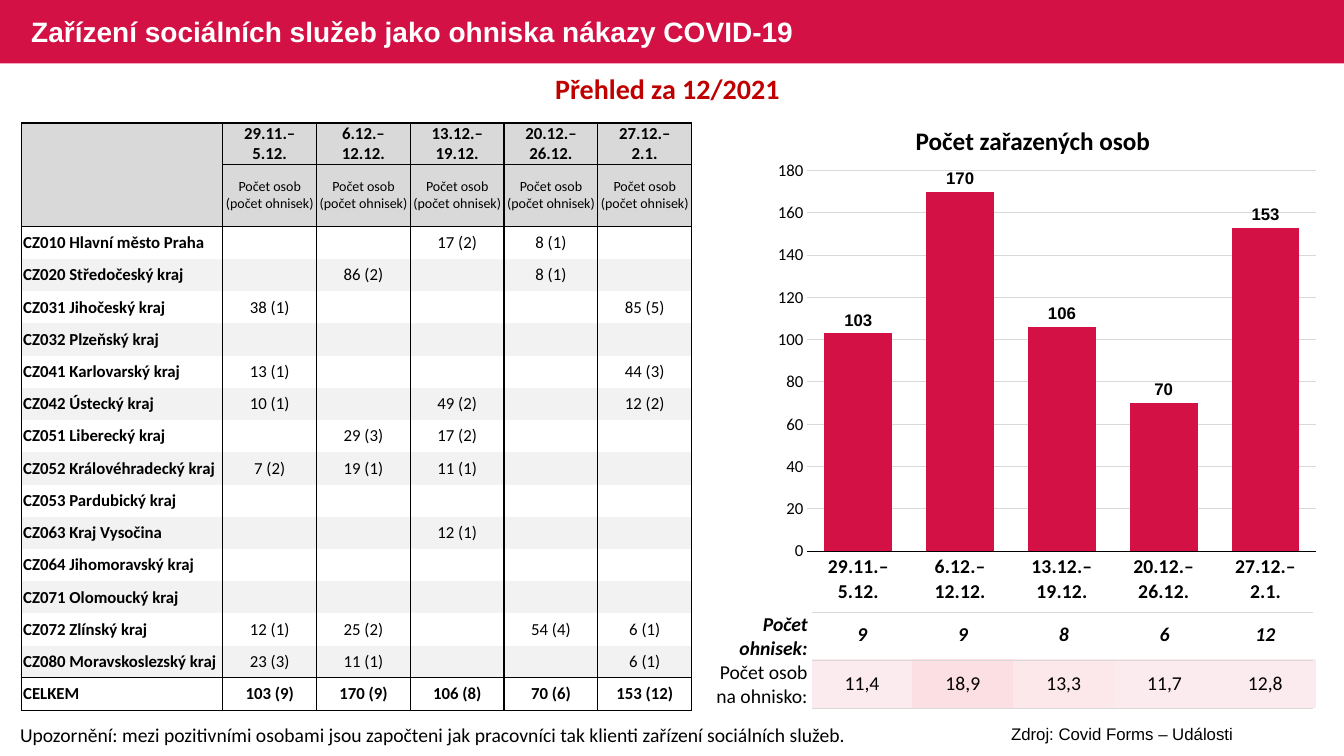
from lxml import etree
from pptx import Presentation
from pptx import util as u
from pptx.chart.data import CategoryChartData
from pptx.dml.color import RGBColor
from pptx.enum import chart as ch, shapes, text
from pptx.oxml import parse_xml
from pptx.oxml.ns import nsdecls

CRIMSON, BLACK, WHITE, SILVER = "D31145", "000000", "FFFFFF", "D9D9D9"
LEFT, CENTER, RIGHT = text.PP_ALIGN.LEFT, text.PP_ALIGN.CENTER, text.PP_ALIGN.RIGHT

TITLE = "Zařízení sociálních služeb jako ohniska nákazy COVID-19"
WEEKS = ["29.11.–\n5.12.", "6.12.–\n12.12.", "13.12.–\n19.12.", "20.12.–\n26.12.", "27.12.–\n2.1."]
UNIT = "Počet osob (počet ohnisek)"
REGIONS = [
    ("CZ010 Hlavní město Praha", "", "", "17 (2)", "8 (1)", ""),
    ("CZ020 Středočeský kraj", "", "86 (2)", "", "8 (1)", ""),
    ("CZ031 Jihočeský kraj", "38 (1)", "", "", "", "85 (5)"),
    ("CZ032 Plzeňský kraj", "", "", "", "", ""),
    ("CZ041 Karlovarský kraj", "13 (1)", "", "", "", "44 (3)"),
    ("CZ042 Ústecký kraj", "10 (1)", "", "49 (2)", "", "12 (2)"),
    ("CZ051 Liberecký kraj", "", "29 (3)", "17 (2)", "", ""),
    ("CZ052 Královéhradecký kraj", "7 (2)", "19 (1)", "11 (1)", "", ""),
    ("CZ053 Pardubický kraj", "", "", "", "", ""),
    ("CZ063 Kraj Vysočina", "", "", "12 (1)", "", ""),
    ("CZ064 Jihomoravský kraj", "", "", "", "", ""),
    ("CZ071 Olomoucký kraj", "", "", "", "", ""),
    ("CZ072 Zlínský kraj", "12 (1)", "25 (2)", "", "54 (4)", "6 (1)"),
    ("CZ080 Moravskoslezský kraj", "23 (3)", "11 (1)", "", "", "6 (1)"),
]
TOTAL = ("CELKEM", "103 (9)", "170 (9)", "106 (8)", "70 (6)", "153 (12)")
PERSONS = [103, 170, 106, 70, 153]
OUTBREAKS = ["9", "9", "8", "6", "12"]
RATIOS = ["11,4", "18,9", "13,3", "11,7", "12,8"]
RATIO_FILLS = ["FCEBEE", "FCDFE2", "FCE8EB", "FCEBEE", "FCEBEE"]
RATIO_LABELS = ["Počet ohnisek:", "Počet osob na ohnisko:"]
CAPTIONS = [
    ("Upozornění: mezi pozitivními osobami jsou započteni jak pracovníci tak klienti zařízení sociálních služeb.",
     (0.1, 7.12, 8.52, 0.34), 14, "Calibri", BLACK, False, LEFT),
    ("Zdroj: Covid Forms – Události", (9.03, 7.13, 4.2, 0.3), 12, "Arial", BLACK, False, CENTER),
    ("Přehled za 12/2021", (0.21, 0.66, 12.82, 0.44), 20, "Calibri", "C00000", True, CENTER),
    ("Počet zařazených osob", (7.56, 1.19, 5.37, 0.4), 18, "Calibri", BLACK, True, CENTER),
]


def rgb(value):
    return RGBColor.from_string(value)


def inches(values):
    return [u.Inches(value) for value in values]


def style(font, size, name="Calibri", color=BLACK, bold=False, italic=False):
    font.size, font.name, font.bold, font.italic = u.Pt(size), name, bold, italic
    font.color.rgb = rgb(color)


def add_grid(page, place, widths, heights):
    table = page.shapes.add_table(len(heights), len(widths), *inches(place)).table
    table.first_row = table.horz_banding = False
    for column, width in zip(table.columns, widths):
        column.width = u.Inches(width)
    for row, height in zip(table.rows, heights):
        row.height = u.Inches(height)
    return table


def draw_cell(cell, words="", size=12, align=CENTER, bold=False, italic=False, fill=None,
              edges=(0, 0, 0, 0), edge_color=BLACK, margins=(0.01, 0.01)):
    cell.margin_left, cell.margin_right = inches(margins)
    cell.margin_top = cell.margin_bottom = 0
    cell.vertical_anchor = text.MSO_ANCHOR.MIDDLE
    cell.text = words
    for para in cell.text_frame.paragraphs:
        para.alignment = align
        style(para.font, size, bold=bold, italic=italic)
    for side, weight in zip("LRTB", edges):
        paint = f'<a:solidFill><a:srgbClr val="{edge_color}"/></a:solidFill>' if weight else "<a:noFill/>"
        cell._tc.get_or_add_tcPr().append(parse_xml(
            f'<a:ln{side} {nsdecls("a")} w="{int(u.Pt(weight))}">{paint}</a:ln{side}>'))
    if fill:
        cell.fill.solid()
        cell.fill.fore_color.rgb = rgb(fill)
    else:
        cell.fill.background()


def add_regions(page):
    rows = [("", *WEEKS), ("", *[UNIT] * len(WEEKS)), *REGIONS, TOTAL]
    last = len(rows) - 1
    rules = {0: 1, 1: 1, 2: 0.5, last: 1, last + 1: 1}
    table = add_grid(page, (0.21, 1.22, 6.65, 5.8), [2] + [0.93] * len(WEEKS),
                     [0.41, 0.62] + [0.32] * (last - 1))
    for r, row in enumerate(rows):
        fill = SILVER if r < 2 else "F2F2F2" if r % 2 and r < last else None
        for c, words in enumerate(row):
            top, bottom = [0 if (c, line) == (0, 1) else rules.get(line, 0) for line in (r, r + 1)]
            draw_cell(table.cell(r, c), words, 10 if r == 1 else 12, CENTER if c else LEFT,
                      bold=r in (0, last) or c == 0, fill=fill, edges=(1, 1, top, bottom),
                      margins=(0.01, 0.01) if c else (0.02, 0.02))
    table.cell(0, 0).merge(table.cell(1, 0))


def add_ratios(page):
    values = add_grid(page, (8.05, 6.06, 4.98, 0.96), [1] * len(WEEKS), [0.48] * 2)
    for c, (count, ratio, fill) in enumerate(zip(OUTBREAKS, RATIOS, RATIO_FILLS)):
        draw_cell(values.cell(0, c), count, 14, bold=True, italic=True)
        draw_cell(values.cell(1, c), ratio, 14, fill=fill)
    labels = add_grid(page, (7.04, 6.08, 5.99, 0.93), [1.01] + [0.71] * 7, [0.47] * 2)
    for r, label in enumerate(RATIO_LABELS):
        draw_cell(labels.cell(r, 0), label, 14, RIGHT, bold=r == 0, italic=r == 0, margins=(0.01, 0.04))
        for c in range(1, 8):
            draw_cell(labels.cell(r, c), edges=(0, 0, 1, 1), edge_color=SILVER)


def add_persons_chart(page):
    data = CategoryChartData()
    data.categories = WEEKS
    data.add_series("Počet zařazených osob", PERSONS)
    chart = page.shapes.add_chart(ch.XL_CHART_TYPE.COLUMN_CLUSTERED,
                                  *inches((7.56, 1.51, 5.61, 4.55)), data).chart
    chart.has_title = chart.has_legend = False
    style(chart.font, 14, "Arial", bold=True)
    plot = chart.plots[0]
    plot.gap_width, plot.vary_by_categories = 50, False
    fill = plot.series[0].format.fill
    fill.solid()
    fill.fore_color.rgb = rgb(CRIMSON)
    plot.has_data_labels = True
    labels = plot.data_labels
    labels.show_value, labels.position = True, ch.XL_LABEL_POSITION.OUTSIDE_END
    style(labels.font, 12, "Arial", bold=True)
    weeks, scale = chart.category_axis, chart.value_axis
    weeks.major_tick_mark = scale.major_tick_mark = ch.XL_TICK_MARK.NONE
    style(weeks.tick_labels.font, 14, bold=True)
    style(scale.tick_labels.font, 12)
    scale.minimum_scale, scale.maximum_scale, scale.major_unit = 0, 180, 20
    scale.format.line.fill.background()
    for line, color in ((weeks.format.line, BLACK), (scale.major_gridlines.format.line, SILVER)):
        line.color.rgb = rgb(color)
        line.width = u.Pt(0.75)
    area = chart._chartSpace.chart.plotArea
    for old in area.findall("{*}layout"):
        area.remove(old)
    layout = parse_xml(f'<c:layout {nsdecls("c")}><c:manualLayout/></c:layout>')
    settings = [("layoutTarget", "inner"), ("xMode", "edge"), ("yMode", "edge"),
                ("x", "0.08"), ("y", "0.04"), ("w", "0.9"), ("h", "0.83")]
    for name, value in settings:
        etree.SubElement(layout[0], "{%s}%s" % (etree.QName(layout).namespace, name)).set("val", value)
    area.insert(0, layout)


def add_heading(deck, page):
    banner = page.shapes.add_shape(shapes.MSO_SHAPE.RECTANGLE, 0, 0, deck.slide_width, u.Inches(0.63))
    banner.shadow.inherit = False
    banner.fill.solid()
    banner.fill.fore_color.rgb = rgb(CRIMSON)
    banner.line.fill.background()
    page.shapes._spTree.insert(2, banner._element)
    title = page.shapes.title
    title.left, title.top, title.width, title.height = inches((0.21, 0.02, 8.13, 0.63))
    frame = title.text_frame
    frame.text = TITLE
    frame.auto_size = text.MSO_AUTO_SIZE.NONE
    frame.vertical_anchor = text.MSO_ANCHOR.MIDDLE
    para = frame.paragraphs[0]
    para.alignment, para.line_spacing = LEFT, 0.9
    style(para.font, 20, "Arial", WHITE, True)


def add_caption(page, words, place, size, name, color, bold, align):
    frame = page.shapes.add_textbox(*inches(place)).text_frame
    frame.word_wrap = True
    frame.text = words
    para = frame.paragraphs[0]
    para.alignment = align
    style(para.font, size, name, color, bold)


def main():
    deck = Presentation()
    deck.slide_width, deck.slide_height = inches((13.33, 7.5))
    page = deck.slides.add_slide(deck.slide_layouts[5])
    add_heading(deck, page)
    add_regions(page)
    add_persons_chart(page)
    add_ratios(page)
    for caption in CAPTIONS:
        add_caption(page, *caption)
    deck.save("out.pptx")


if __name__ == "__main__":
    main()
